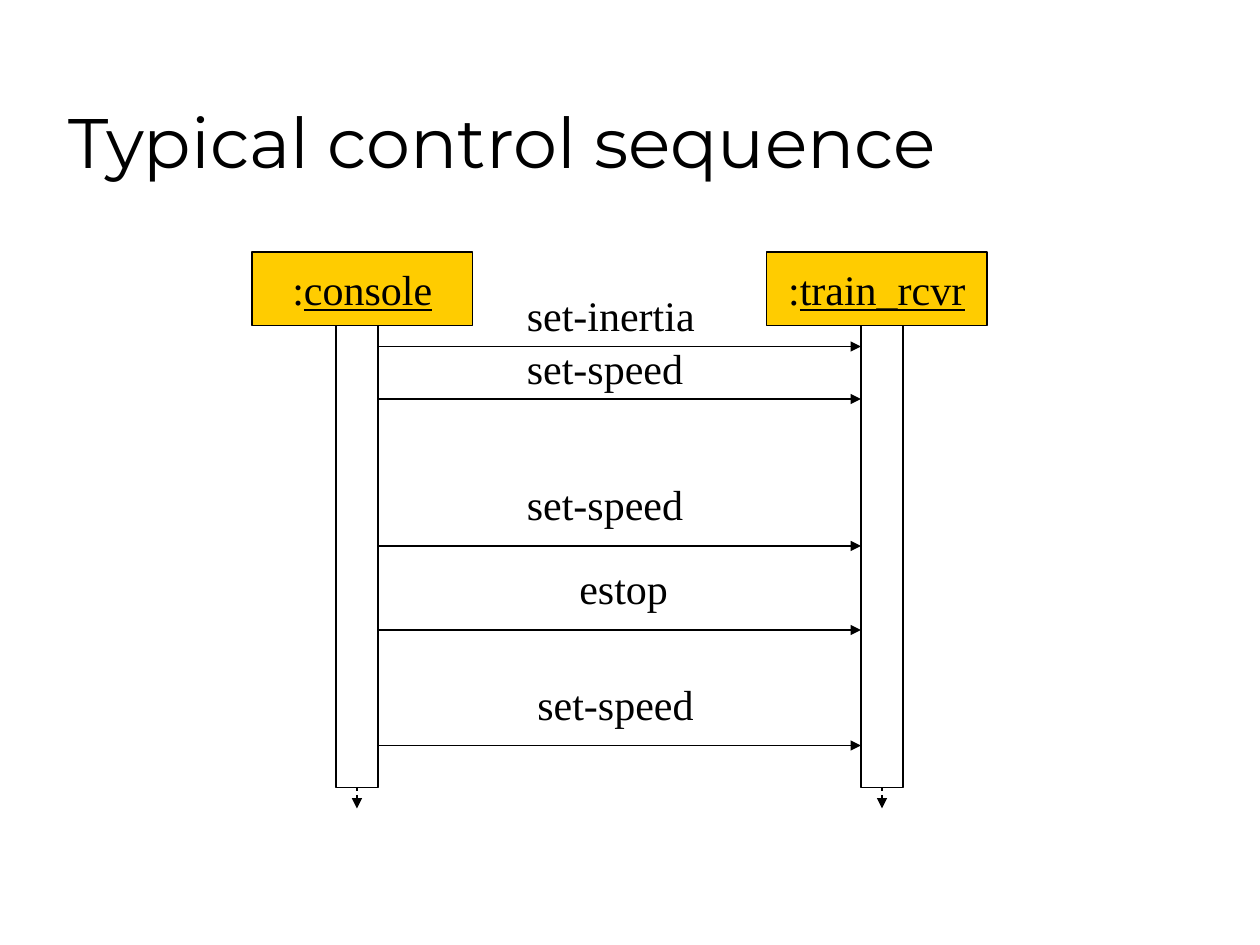
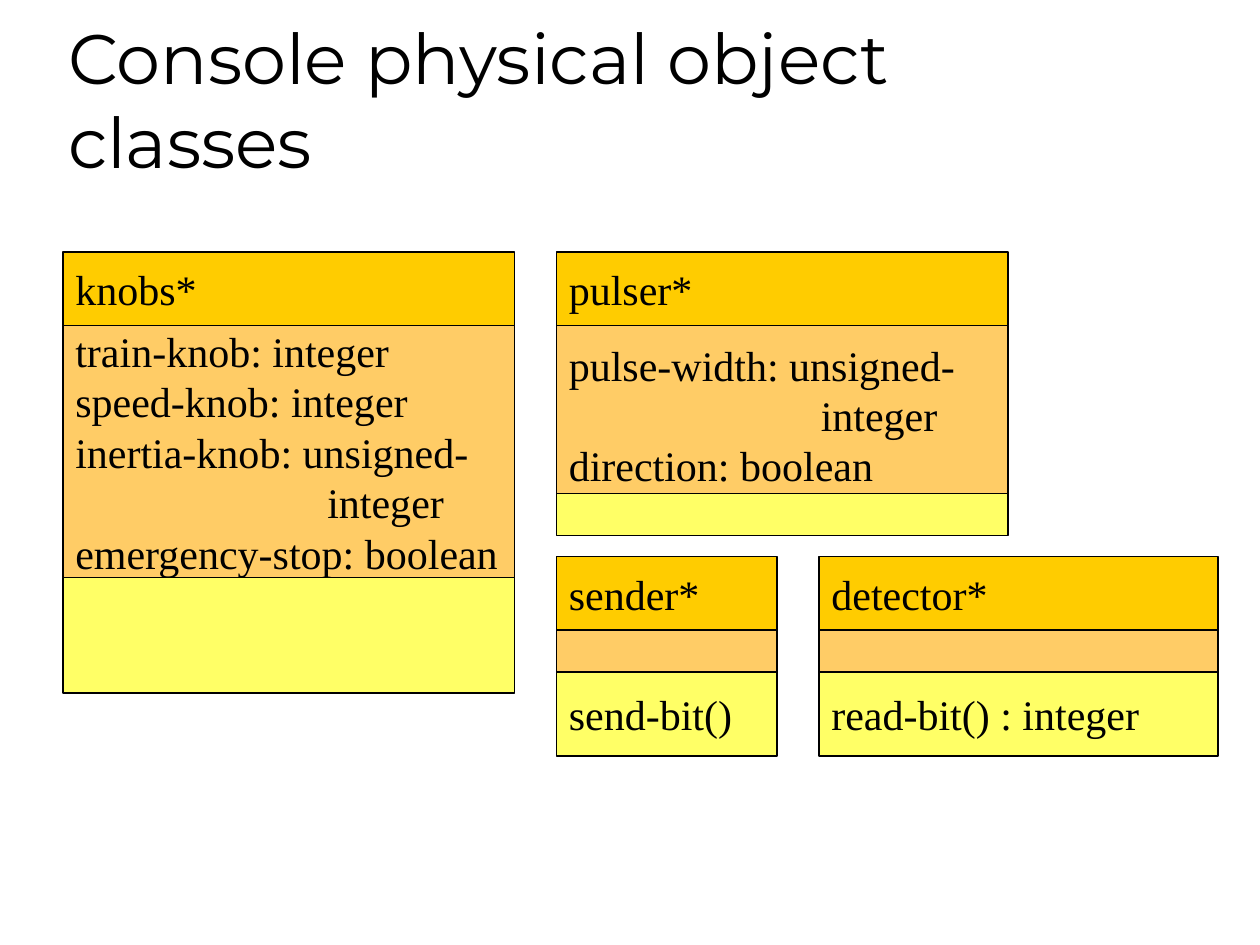
"""Build a sequence diagram slide and a class diagram slide."""
from lxml import etree
from pptx import Presentation
from pptx import util as u
from pptx.dml.color import RGBColor
from pptx.enum import dml, shapes, text
from pptx.oxml.ns import qn

COLOURS = {"ink": "000000", "paper": "FFFFFF", "name": "FFCC00",
           "attributes": "FFCC66", "methods": "FFFF66"}
WIDTH, HEIGHT = u.Inches(10), u.Inches(7.5)
COLUMNS, ROWS = 120, 90
HEADER = 7
BAR = 4
TITLE = {"name": "Montserrat", "size": u.Pt(40)}
BODY = {"name": "Times New Roman", "size": u.Pt(24)}


def colour(key):
    """Return a named colour of the palette."""
    return RGBColor.from_string(COLOURS[key])


def place(column, row):
    """Turn a grid position or size into slide lengths."""
    return round(WIDTH * column / COLUMNS), round(HEIGHT * row / ROWS)


def style_font(font, values):
    """Set font attributes and the ink colour."""
    for key, value in values.items():
        setattr(font, key, value)
    font.color.rgb = colour("ink")


def add_tabs(para):
    """Put tab stops one and two inches into a paragraph."""
    tabs = etree.SubElement(para._p.get_or_add_pPr(), qn("a:tabLst"))
    for inches in (1, 2):
        etree.SubElement(tabs, qn("a:tab"), pos=str(u.Inches(inches)), algn="l")


def write(box, lines, align=text.PP_ALIGN.LEFT, values=BODY, **frame_values):
    """Fill a box with lines, each a list of (words, underlined) spans."""
    frame = box.text_frame
    for key, value in frame_values.items():
        setattr(frame, key, value)
    for index, spans in enumerate(lines):
        para = frame.add_paragraph() if index else frame.paragraphs[0]
        para.alignment = align
        if any("\t" in words for words, _ in spans):
            add_tabs(para)
        for words, underlined in spans:
            span = para.add_run()
            span.text = words
            style_font(span.font, values)
            if underlined:
                span.font.underline = True


def add_page(deck, title):
    """Add a blank slide with the shared title."""
    page = deck.slides.add_slide(deck.slide_layouts[6])
    box = page.shapes.add_textbox(*place(5.33, 3), *place(102, 15))
    write(box, [[(title, False)]], values=TITLE, word_wrap=True,
          vertical_anchor=text.MSO_ANCHOR.BOTTOM)
    return page


def add_box(page, column, row, width, height, fill, lines=(),
            align=text.PP_ALIGN.LEFT):
    """Add an outlined rectangle with optional text."""
    box = page.shapes.add_shape(shapes.MSO_SHAPE.RECTANGLE,
                                *place(column, row), *place(width, height))
    box.shadow.inherit = False
    box.fill.solid()
    box.fill.fore_color.rgb = colour(fill)
    box.line.color.rgb = colour("ink")
    box.line.width = u.Pt(0.75)
    if lines:
        write(box, lines, align, word_wrap=False,
              vertical_anchor=text.MSO_ANCHOR.MIDDLE)
    return box


def add_arrow(page, start, end, dashed=False):
    """Add a straight arrow between two grid points."""
    arrow = page.shapes.add_connector(shapes.MSO_CONNECTOR.STRAIGHT,
                                      *place(*start), *place(*end))
    arrow.line.color.rgb = colour("ink")
    arrow.line.width = u.Pt(0.75)
    if dashed:
        arrow.line.dash_style = dml.MSO_LINE.DASH
    etree.SubElement(arrow.line._get_or_add_ln(), qn("a:tailEnd"), type="triangle")
    etree.SubElement(arrow._element.spPr, qn("a:effectLst"))
    return arrow


def add_lifeline(page, name, column, bar_column):
    """Add a named object with its lifeline and activation bar."""
    add_box(page, column, 24, 21, HEADER, "name",
            [[(":", False), (name, True)]], text.PP_ALIGN.CENTER)
    top = 24 + HEADER
    middle = bar_column + BAR / 2
    lifeline = add_arrow(page, (middle, top), (middle, 77), dashed=True)
    bar = add_box(page, bar_column, top, BAR, 44, "paper")
    lifeline.begin_connect(bar, 0)


def add_message(page, label, column, label_row, width, arrow_row):
    """Add a message arrow and the label above it."""
    box = page.shapes.add_textbox(*place(column, label_row), *place(width, 6))
    write(box, [[(label, False)]], word_wrap=False)
    add_arrow(page, (36, arrow_row), (82, arrow_row))


def add_class(page, column, row, width, name, attributes, methods):
    """Add a class; a compartment is (row, height, lines)."""
    compartments = {"name": (row, HEADER, [name]),
                    "attributes": attributes, "methods": methods}
    for fill, (top, height, lines) in compartments.items():
        add_box(page, column, top, width, height, fill,
                [[(line, False)] for line in lines])


def main():
    """Build and save the deck."""
    deck = Presentation()
    deck.slide_width, deck.slide_height = WIDTH, HEIGHT

    page = add_page(deck, "Typical control sequence")
    for lifeline in (("console", 24, 32), ("train_rcvr", 73, 82)):
        add_lifeline(page, *lifeline)
    for message in (("set-inertia", 49, 27, 19, 33),
                    ("set-speed", 49, 32, 18, 38),
                    ("set-speed", 49, 45, 18, 52),
                    ("estop", 54, 53, 11.5, 60),
                    ("set-speed", 50, 64, 18, 71)):
        add_message(page, *message)

    page = add_page(deck, "Console physical object classes")
    knobs = ["train-knob: integer", "speed-knob: integer",
             "inertia-knob: unsigned-", "\t\tinteger", "emergency-stop: boolean"]
    pulses = ["pulse-width: unsigned-", "\t\tinteger", "direction: boolean"]
    add_class(page, 6, 24, 43, "knobs*", (31, 24, knobs), (55, 11, []))
    add_class(page, 53, 24, 43, "pulser*", (31, 17, pulses), (47, 4, []))
    for column, width, name, method in ((53, 21, "sender*", "send-bit()"),
                                        (78, 38, "detector*", "read-bit() : integer")):
        add_class(page, column, 53, width, name, (60, 4, []), (64, 8, [method]))

    deck.save("out.pptx")


if __name__ == "__main__":
    main()
